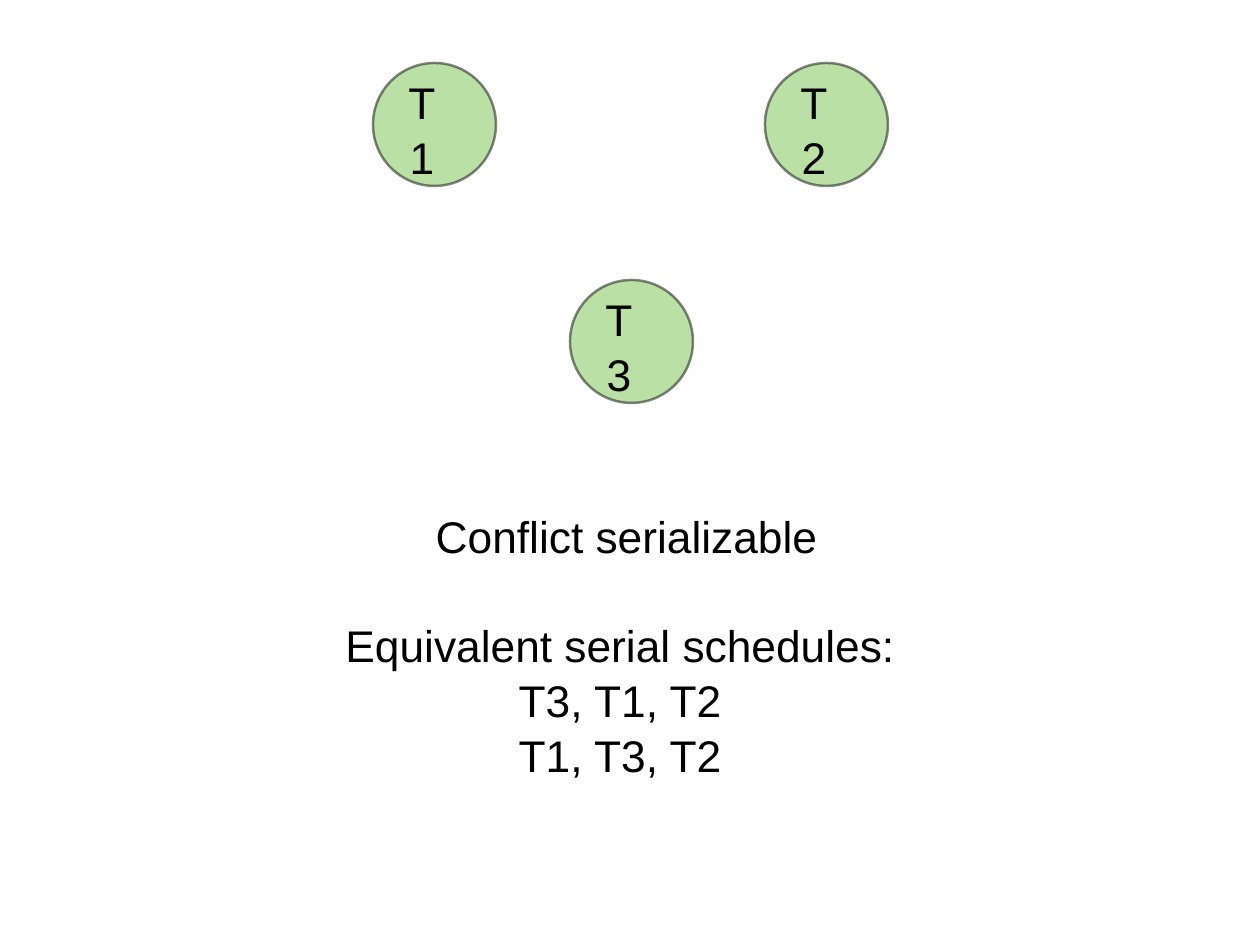
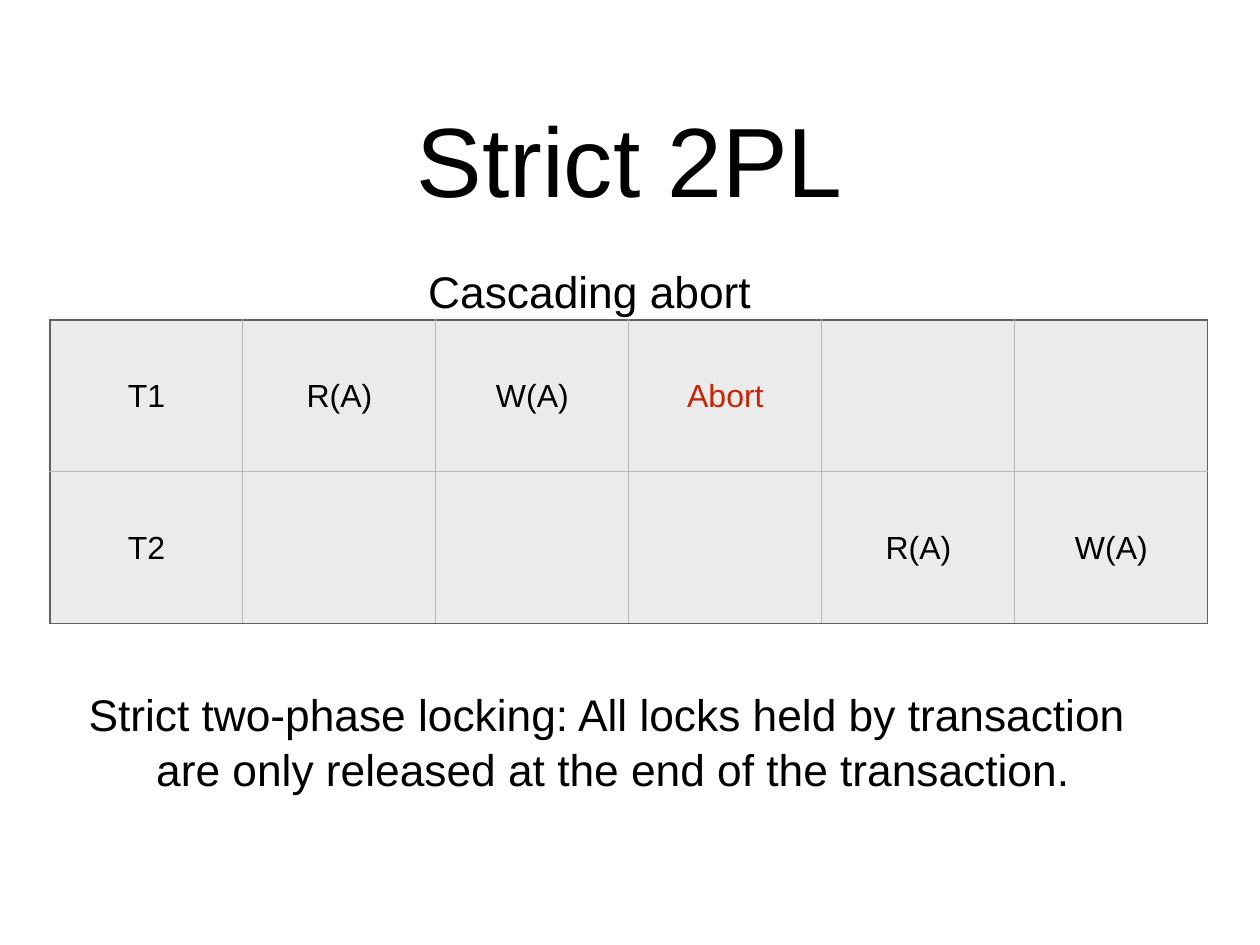
"""Builds two slides on serial schedules and strict two-phase locking."""
from dataclasses import dataclass

from lxml import etree
from pptx import Presentation
from pptx.dml.color import RGBColor
from pptx.enum.shapes import MSO_SHAPE
from pptx.enum.text import MSO_ANCHOR, PP_ALIGN
from pptx.oxml.ns import qn
from pptx.util import Emu, Pt

OVAL = MSO_SHAPE.OVAL
MIDDLE = MSO_ANCHOR.MIDDLE
CENTER = PP_ALIGN.CENTER
EMU_PER_PX = 10321


def px(length):
    return Emu(length * EMU_PER_PX)


def set_attributes(target, values):
    for name, value in values.items():
        setattr(target, name, value)


@dataclass(frozen=True)
class Theme:
    font: str = "Arial"
    text: str = "000000"
    alert: str = "C82506"
    node: str = "70BF41"
    node_opacity: int = 47
    cell: str = "EBEBEB"
    outer_border: str = "606060"
    inner_border: str = "B8B8B8"
    title_size: int = 80
    body_size: int = 36
    table_size: int = 26
    line_spacing: float = 1.04
    inset: int = 5


class Deck:
    def __init__(self, theme, width, height):
        self.theme = theme
        self.presentation = Presentation()
        set_attributes(self.presentation, {"slide_width": px(width), "slide_height": px(height)})
        self.slide = None
        sides = ("left", "top", "right", "bottom")
        self.frame_format = {f"margin_{side}": px(theme.inset) for side in sides}
        self.frame_format["vertical_anchor"] = MIDDLE

    def add_slide(self):
        self.slide = self.presentation.slides.add_slide(self.presentation.slide_layouts[6])

    def add_lines(self, frame, lines, size, color):
        for index, line in enumerate(lines):
            paragraph = frame.add_paragraph() if index else frame.paragraphs[0]
            set_attributes(paragraph, {"alignment": CENTER, "line_spacing": self.theme.line_spacing})
            run = paragraph.add_run()
            run.text = line
            set_attributes(run.font, {"name": self.theme.font, "size": Pt(size)})
            run.font.color.rgb = RGBColor.from_string(color)

    def text(self, box, *lines, size=None):
        frame = self.slide.shapes.add_textbox(*map(px, box)).text_frame
        set_attributes(frame, {**self.frame_format, "word_wrap": True})
        self.add_lines(frame, lines, size or self.theme.body_size, self.theme.text)

    def node(self, left, top, label):
        shape = self.slide.shapes.add_shape(OVAL, *map(px, (left, top, 123, 123)))
        shape.shadow.inherit = False
        shape.fill.solid()
        shape.fill.fore_color.rgb = RGBColor.from_string(self.theme.node)
        shape.line.color.rgb = RGBColor.from_string(self.theme.text)
        shape.line.width = Pt(2)
        for color in list(shape.element.spPr.iter(qn("a:srgbClr"))):
            etree.SubElement(color, qn("a:alpha"), val=str(self.theme.node_opacity * 1000))
        self.text((left + 22, top + 8, 54, 114), label)

    def border(self, cell, side, is_outer):
        properties = cell._tc.get_or_add_tcPr()
        line = etree.SubElement(properties, qn(f"a:ln{side}"), w=str(Pt(1)))
        fill = etree.SubElement(line, qn("a:solidFill"))
        color = self.theme.outer_border if is_outer else self.theme.inner_border
        etree.SubElement(fill, qn("a:srgbClr"), val=color)

    def schedule(self, left, top, column_width, row_height, rows, alert):
        row_count, column_count = len(rows), len(rows[0])
        size = column_width * column_count, row_height * row_count
        table = self.slide.shapes.add_table(
            row_count, column_count, *map(px, (left, top, *size))).table
        set_attributes(table, {"first_row": False, "horz_banding": False})
        for row, values in enumerate(rows):
            for column, value in enumerate(values):
                cell = table.cell(row, column)
                edges = {"L": column == 0, "R": column == column_count - 1,
                         "T": row == 0, "B": row == row_count - 1}
                for side, is_outer in edges.items():
                    self.border(cell, side, is_outer)
                cell.fill.solid()
                cell.fill.fore_color.rgb = RGBColor.from_string(self.theme.cell)
                set_attributes(cell, self.frame_format)
                if value:
                    color = self.theme.alert if value == alert else self.theme.text
                    self.add_lines(cell.text_frame, [value], self.theme.table_size, color)


def main():
    theme = Theme()
    deck = Deck(theme, 1260, 945)

    deck.add_slide()
    for left, top, label in ((373, 63, "T1"), (765, 63, "T2"), (570, 280, "T3")):
        deck.node(left, top, label)
    deck.text((428, 503, 397, 63), "Conflict serializable")
    deck.text((331, 615, 578, 168),
              "Equivalent serial schedules:", "T3, T1, T2", "T1, T3, T2")

    deck.add_slide()
    deck.text((92, 51, 1076, 209), "Strict 2PL", size=theme.title_size)
    deck.schedule(50, 320, 193, 152, [
        ["T1", "R(A)", "W(A)", "Abort", "", ""],
        ["T2", "", "", "", "R(A)", "W(A)"],
    ], alert="Abort")
    deck.text((417, 258, 345, 63), "Cascading abort")
    deck.text((67, 682, 1092, 116),
              "Strict two-phase locking: All locks held by transaction ",
              "are only released at the end of the transaction.")

    deck.presentation.save("out.pptx")


if __name__ == "__main__":
    main()
